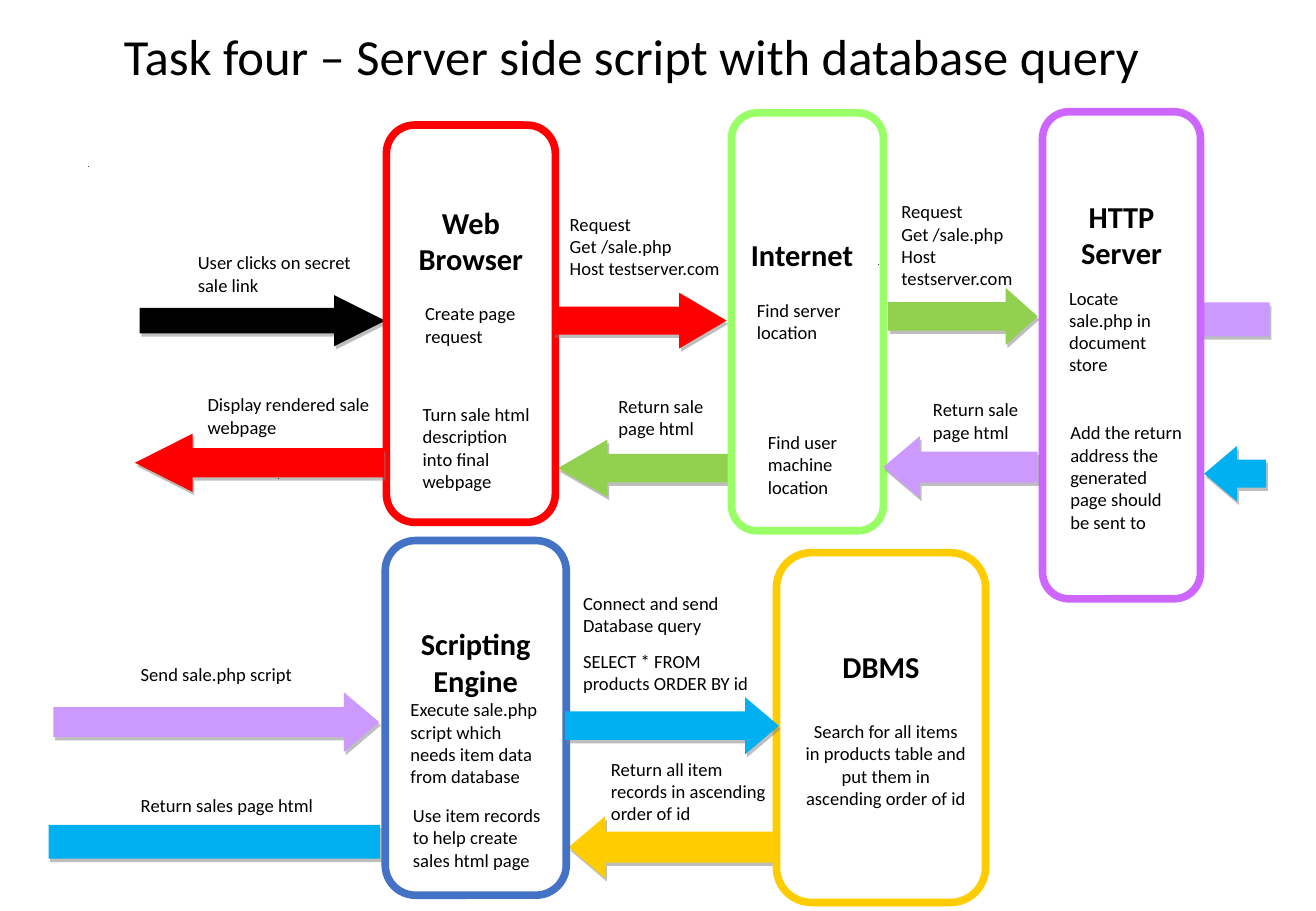
from lxml import etree
from pptx import Presentation
from pptx.dml.color import RGBColor
from pptx.enum.shapes import MSO_SHAPE as Shape
from pptx.enum.text import MSO_ANCHOR as Anchor, MSO_AUTO_SIZE as AutoSize, PP_ALIGN as Align
from pptx.oxml import parse_xml
from pptx.oxml.ns import nsdecls, qn
from pptx.util import Inches, Pt

BLACK = RGBColor(0x00, 0x00, 0x00)
WHITE = RGBColor(0xFF, 0xFF, 0xFF)
RED = RGBColor(0xFF, 0x00, 0x00)
LIME = RGBColor(0x99, 0xFF, 0x66)
GREEN = RGBColor(0x92, 0xD0, 0x50)
VIOLET = RGBColor(0xCC, 0x66, 0xFF)
LILAC = RGBColor(0xCC, 0x99, 0xFF)
SKY = RGBColor(0x00, 0xB0, 0xF0)
BLUE = RGBColor(0x44, 0x72, 0xC4)
GOLD = RGBColor(0xFF, 0xCC, 0x00)

TITLE_FONT = {"name": "Calibri", "size": Pt(30)}
HEADING_FONT = {"name": "Calibri", "size": Pt(18), "bold": True}
LABEL_FONT = {"name": "Calibri", "size": Pt(11)}

CORNER = 0.167
CORNER_TEXT_INSET = 0.05  # share of a component's width taken by its rounded corner

SHADOW = (
    f'<a:effectLst {nsdecls("a")}><a:outerShdw blurRad="0" dist="27940" dir="3780000" '
    'algn="ctr" rotWithShape="0"><a:srgbClr val="7F7F7F"><a:alpha val="50000"/>'
    '</a:srgbClr></a:outerShdw></a:effectLst>'
)

# heading, place, outline, top of the heading, alignment
COMPONENTS = [
    ("Scripting Engine", (3.17, 4.45, 1.49, 2.92), BLUE, 5.15, Align.CENTER),
    ("Web Browser", (3.18, 1.03, 1.39, 3.27), RED, 1.68, Align.CENTER),
    ("Internet", (6.02, 0.93, 1.25, 3.44), LIME, 1.95, Align.LEFT),
    ("HTTP Server", (8.58, 0.92, 1.3, 4.01), VIOLET, 1.63, Align.CENTER),
    ("DBMS", (6.39, 4.55, 1.72, 2.88), GOLD, 5.34, Align.CENTER),
]

# shape, place, colour, length of the head relative to the arrow's height
FLOWS_BEHIND = [
    (Shape.RIGHT_ARROW, (1.15, 2.43, 2.02, 0.42), BLACK, 1.0),
    (Shape.LEFT_ARROW, (4.59, 3.62, 1.44, 0.47), GREEN, 0.87),
    (Shape.RECTANGLE, (9.69, 2.49, 0.76, 0.28), LILAC, None),
    (Shape.LEFT_ARROW, (4.68, 6.72, 1.73, 0.51), GOLD, 0.59),
]
FLOWS_IN_FRONT = [
    (Shape.RIGHT_ARROW, (0.44, 5.7, 2.68, 0.49), LILAC, 0.59),
    (Shape.LEFT_ARROW, (9.91, 3.67, 0.51, 0.46), SKY, 0.59),
    (Shape.RECTANGLE, (0.4, 6.79, 2.73, 0.28), SKY, None),
    (Shape.LEFT_ARROW, (1.11, 3.57, 2.05, 0.48), RED, 0.99),
    (Shape.RIGHT_ARROW, (4.55, 2.41, 1.43, 0.46), RED, 0.85),
    (Shape.RIGHT_ARROW, (7.31, 2.37, 1.23, 0.47), GREEN, 0.56),
    (Shape.LEFT_ARROW, (7.27, 3.59, 1.27, 0.51), LILAC, 0.59),
    (Shape.RIGHT_ARROW, (4.65, 5.74, 1.76, 0.47), SKY, 0.59),
]

REQUEST = ["Request", "Get /sale.php", "Host testserver.com"]
MESSAGES = [
    ((1.53, 2.02, 1.73, 0.56), ["User clicks on secret sale link"]),
    ((1.61, 3.19, 1.71, 0.56), ["Display rendered sale webpage"]),
    ((4.59, 1.7, 1.52, 1.08), REQUEST),
    ((7.32, 1.6, 1.42, 1.07), REQUEST),
    ((4.99, 3.2, 0.95, 0.71), ["Return sale page html"]),
    ((7.58, 3.23, 1.07, 0.87), ["Return sale page html"]),
    ((1.06, 5.41, 1.87, 0.35), ["Send sale.php script"]),
    ((1.06, 6.49, 1.72, 0.71), ["Return sales page html"]),
    ((4.93, 6.19, 1.54, 0.56), ["Return all item records in ascending order of id"]),
]
QUERY = (
    (4.7, 4.82, 1.7, 0.99),
    ["Connect and send Database query", "SELECT * FROM products ORDER BY id"],
)
STEPS = [
    ((3.4, 2.44, 1.13, 0.47), ["Create page request"]),
    ((3.38, 3.27, 1.13, 0.84), ["Turn sale html description into final webpage"]),
    ((6.13, 2.41, 1, 0.47), ["Find server location"]),
    ((6.22, 3.5, 0.88, 0.66), ["Find user machine location"]),
    ((8.7, 2.31, 1.13, 0.84), ["Locate sale.php in document store"]),
    ((8.71, 3.42, 1.13, 1.03),
     ["Add the return address the generated page should be sent to"]),
    ((3.28, 5.7, 1.27, 0.84),
     ["Execute sale.php script which needs item data from database"]),
    ((3.3, 6.57, 1.27, 0.66), ["Use item records to help create sales html page"]),
]
SEARCH = (
    (6.53, 5.88, 1.52, 0.84),
    ["Search for all items in products table and put them in ascending order of id"],
)
DOTS = [(0.73, 1.37), (2.29, 3.94), (7.23, 2.18)]


def inches(place):
    return [Inches(length) for length in place]


def write(paragraph, text, font, align=Align.LEFT):
    paragraph.text = text
    paragraph.alignment = align
    paragraph.font.color.rgb = BLACK
    for attribute, value in font.items():
        setattr(paragraph.font, attribute, value)


def add_title(slide, text):
    title = slide.shapes.title
    title.left, title.top, title.width, title.height = inches((0.92, 0.13, 8.81, 0.72))
    frame = title.text_frame
    frame.auto_size = AutoSize.NONE
    frame.vertical_anchor = Anchor.MIDDLE
    write(frame.paragraphs[0], text, TITLE_FONT)
    frame.paragraphs[0].line_spacing = 0.9


def add_component(slide, heading, place, outline, heading_top, align):
    component = slide.shapes.add_shape(Shape.ROUNDED_RECTANGLE, *inches(place))
    component.adjustments[0] = CORNER
    component.shadow.inherit = False
    component.fill.solid()
    component.fill.fore_color.rgb = WHITE
    component.line.color.rgb = outline
    component.line.width = Pt(4.5)
    frame = component.text_frame
    frame.word_wrap = True
    frame.vertical_anchor = Anchor.TOP
    _, top, width, _ = place
    frame.margin_top = Inches(heading_top - top - CORNER_TEXT_INSET * width)
    write(frame.paragraphs[0], heading, HEADING_FONT, align)


def add_flow(slide, kind, place, colour, head):
    """Add an arrow, or a plain bar where the flow runs off the row."""
    flow = slide.shapes.add_shape(kind, *inches(place))
    if head is not None:
        flow.adjustments[1] = head
    flow.fill.solid()
    flow.fill.fore_color.rgb = colour
    flow.line.fill.background()
    flow._element.spPr.append(parse_xml(SHADOW))


def add_label(slide, place, lines, align=Align.LEFT, gap=0):
    frame = slide.shapes.add_textbox(*inches(place)).text_frame
    frame.word_wrap = True
    for index, line in enumerate(lines):
        paragraph = frame.add_paragraph() if index else frame.paragraphs[0]
        write(paragraph, line, LABEL_FONT, align)
        paragraph.space_after = Pt(gap)


def add_dot(slide, left, top):
    dot = slide.shapes.add_shape(Shape.RECTANGLE, *inches((left, top, 0, 0)))
    dot.shadow.inherit = False
    dot.fill.background()
    dot.line.color.rgb = BLACK
    dot.line.width = Pt(0.75)


def main():
    deck = Presentation()
    deck.slide_width, deck.slide_height = Inches(10.83), Inches(7.5)
    slide = deck.slides.add_slide(deck.slide_layouts[5])
    add_title(slide, "Task four – Server side script with database query")
    for flow in FLOWS_BEHIND:
        add_flow(slide, *flow)
    for component in COMPONENTS:
        add_component(slide, *component)
    for flow in FLOWS_IN_FRONT:
        add_flow(slide, *flow)
    for label in MESSAGES + STEPS:
        add_label(slide, *label)
    add_label(slide, *QUERY, gap=8)
    add_label(slide, *SEARCH, align=Align.CENTER)
    for dot in DOTS:
        add_dot(slide, *dot)
    deck.save("out.pptx")


if __name__ == "__main__":
    main()
